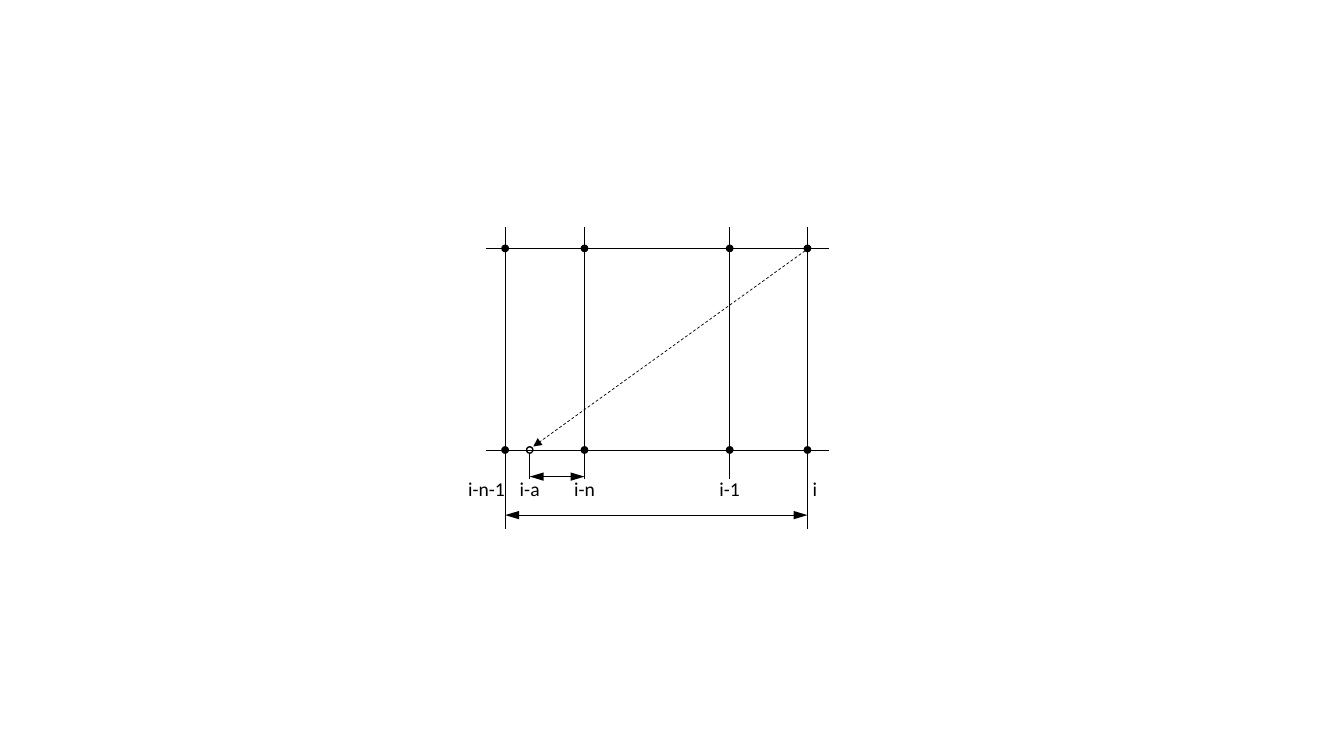
from lxml import etree
from pptx import Presentation
from pptx.dml.color import RGBColor
from pptx.enum.dml import MSO_LINE
from pptx.enum.shapes import MSO_CONNECTOR, MSO_SHAPE
from pptx.enum.text import MSO_ANCHOR, MSO_AUTO_SIZE, PP_ALIGN
from pptx.oxml.ns import qn
from pptx.util import Cm, Pt

STRAIGHT = MSO_CONNECTOR.STRAIGHT
OVAL = MSO_SHAPE.OVAL
DASH = MSO_LINE.DASH
CENTER = PP_ALIGN.CENTER
MIDDLE = MSO_ANCHOR.MIDDLE
FIT = MSO_AUTO_SIZE.SHAPE_TO_FIT_TEXT
BLACK = "000000"
FONT = "Calibri"

LEFT, RIGHT = 12.24, 20.88
TOP, SHORT, LONG = 5.72, 12.07, 13.34
ROWS = [6.26, 11.34]
FIRST, NEAR, PRIOR, LAST = 12.73, 14.73, 18.39, 20.35
POINT = 13.35
COLUMNS = [(FIRST, LONG), (NEAR, SHORT), (PRIOR, SHORT), (LAST, LONG)]
LABELS = [
    ("i-n-1", 12.26, 1.45),
    ("i-a", POINT, 1.02),
    ("i-n", NEAR, 1.04),
    ("i-1", PRIOR, 1.04),
    ("i", 20.54, 0.64),
]


def color(value):
    return RGBColor.from_string(value)


def add_line(slide, x1, y1, x2, y2, ends=(), size="med", dash=None):
    line = slide.shapes.add_connector(STRAIGHT, Cm(x1), Cm(y1), Cm(x2), Cm(y2))
    line.line.width = Pt(0.5)
    line.line.color.rgb = color(BLACK)
    if dash:
        line.line.dash_style = dash
    props = line._element.spPr
    for end in ends:
        etree.SubElement(props.find(qn("a:ln")), qn(f"a:{end}"),
                         type="triangle", w="med", len=size)
    etree.SubElement(props, qn("a:effectLst"))


def add_span(slide, x1, x2, y):
    add_line(slide, x1, y, x2, y, ("headEnd", "tailEnd"), "lg")


def add_dot(slide, x, y, solid=True):
    size = 0.16
    dot = slide.shapes.add_shape(OVAL, Cm(x - size / 2), Cm(y - size / 2),
                                 Cm(size), Cm(size))
    dot.shadow.inherit = False
    if solid:
        dot.fill.solid()
        dot.fill.fore_color.rgb = color(BLACK)
    else:
        dot.fill.background()
    dot.line.color.rgb = color(BLACK)
    dot.line.width = Pt(1)


def add_label(slide, text, x, width):
    box = slide.shapes.add_textbox(Cm(x - width / 2), Cm(11.89), Cm(width), Cm(0.86))
    frame = box.text_frame
    frame.word_wrap = False
    frame.auto_size = FIT
    frame.vertical_anchor = MIDDLE
    para = frame.paragraphs[0]
    para.text = text
    para.alignment = CENTER
    para.font.name = FONT
    para.font.size = Pt(14)
    para.font.color.rgb = color(BLACK)


def main():
    deck = Presentation()
    deck.slide_width, deck.slide_height = Cm(33.87), Cm(19.05)
    slide = deck.slides.add_slide(deck.slide_layouts[6])
    for y in ROWS:
        add_line(slide, LEFT, y, RIGHT, y)
    for x, bottom in COLUMNS:
        add_line(slide, x, TOP, x, bottom)
    add_line(slide, POINT, 11.43, POINT, SHORT)
    add_span(slide, FIRST, LAST, 12.98)
    add_span(slide, POINT, NEAR, 12.01)
    add_line(slide, 20.29, 6.32, 13.44, 11.25, ("tailEnd",), dash=DASH)
    for y in ROWS:
        for x, _ in COLUMNS:
            add_dot(slide, x, y)
    add_dot(slide, POINT, ROWS[1], solid=False)
    for text, x, width in LABELS:
        add_label(slide, text, x, width)
    deck.save("out.pptx")


if __name__ == "__main__":
    main()
